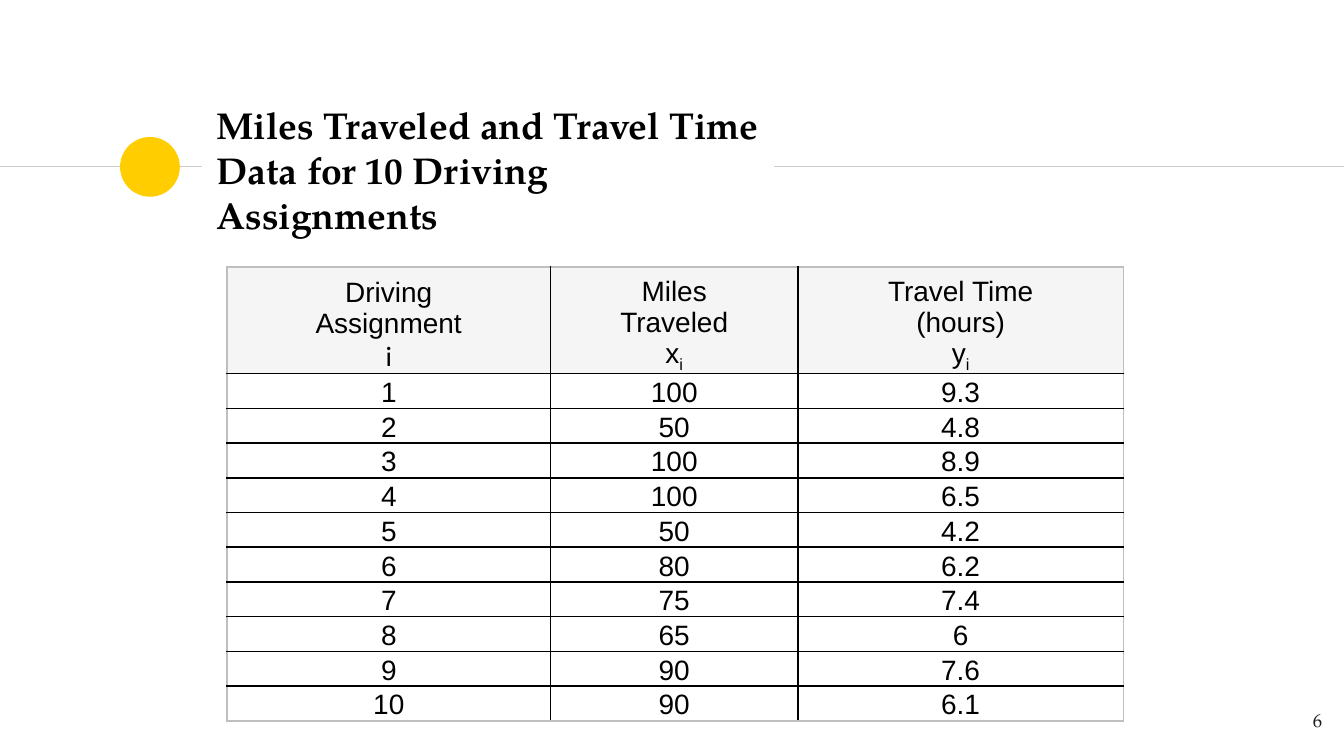
import copy

import pptx
import pptx.dml.color
import pptx.enum.shapes
import pptx.enum.text
import pptx.oxml
import pptx.oxml.ns
import pptx.util

Cm = pptx.util.Cm
Pt = pptx.util.Pt
qn = pptx.oxml.ns.qn
ALIGN = pptx.enum.text.PP_ALIGN
ANCHOR = pptx.enum.text.MSO_ANCHOR

SERIF = "TeX Gyre Pagella"
BLACK = "000000"
RULE_GREY = "CCCCCC"
EDGE_GREY = "BFBFBF"

# A line break inside a paragraph is written \v
HEADERS = [
    ["Driving\vAssignment", "i"],
    ["Miles\vTraveled\vx"],
    ["Travel Time\v(hours)\vy"],
]
MILES = [100, 50, 100, 100, 50, 80, 75, 65, 90, 90]
HOURS = [9.3, 4.8, 8.9, 6.5, 4.2, 6.2, 7.4, 6, 7.6, 6.1]


def color(value):
    return pptx.dml.color.RGBColor.from_string(value)


def style_font(font, name, size, value, bold=False):
    font.name = name
    font.size = Pt(size)
    font.bold = bold
    font.color.rgb = color(value)


def add_rule(slide, start, end, y):
    connector = slide.shapes.add_connector(
        pptx.enum.shapes.MSO_CONNECTOR.STRAIGHT, Cm(start), Cm(y), Cm(end), Cm(y))
    connector.line.color.rgb = color(RULE_GREY)
    connector.line.width = Pt(0.75)
    properties = connector._element.spPr
    properties.append(properties.makeelement(qn("a:effectLst"), {}))


def add_text(slide, box, text, size, value, bold=False,
             align=ALIGN.LEFT, anchor=ANCHOR.TOP):
    shape = slide.shapes.add_textbox(*[Cm(length) for length in box])
    frame = shape.text_frame
    frame.word_wrap = True
    frame.vertical_anchor = anchor
    frame.margin_left = frame.margin_right = Cm(0.25)
    frame.margin_top = frame.margin_bottom = Cm(0.25)
    frame.text = text
    paragraph = frame.paragraphs[0]
    paragraph.alignment = align
    style_font(paragraph.runs[0].font, SERIF, size, value, bold)


def add_title_band(slide, left, top, width, height):
    """Title between two rules, with a yellow dot on the left rule."""
    title_left, title_width, dot_size = 3.84, 10.77, 1.13
    rule_y = top + 0.56
    add_rule(slide, left, left + title_left - 0.03, rule_y)
    dot = slide.shapes.add_shape(
        pptx.enum.shapes.MSO_SHAPE.OVAL, Cm(left + 2.27), Cm(top),
        Cm(dot_size), Cm(dot_size))
    dot.shadow.inherit = False
    dot.fill.solid()
    dot.fill.fore_color.rgb = color("FFCD00")
    dot.line.fill.background()
    add_rule(slide, left + title_left + title_width + 0.02, left + width, rule_y)
    add_text(slide, (left + title_left, top, title_width, height),
             "Miles Traveled and Travel Time Data for 10 Driving Assignments",
             20, BLACK, bold=True, anchor=ANCHOR.MIDDLE)


def set_borders(cell, edges):
    """Draw the borders; edges gives a colour for left, right, top, bottom."""
    properties = cell._tc.get_or_add_tcPr()
    for position, (side, value) in enumerate(zip("LRTB", edges)):
        properties.insert(position, pptx.oxml.parse_xml(
            f'<a:ln{side} {pptx.oxml.ns.nsdecls("a")} w="12700"><a:solidFill>'
            f'<a:srgbClr val="{value}"/></a:solidFill></a:ln{side}>'))


def write_cell(cell, lines, subscript=""):
    cell.vertical_anchor = ANCHOR.BOTTOM
    cell.margin_left = cell.margin_right = Cm(0.05)
    cell.margin_top, cell.margin_bottom = Cm(0.02), 0
    frame = cell.text_frame
    for number, line in enumerate(lines):
        paragraph = frame.add_paragraph() if number else frame.paragraphs[0]
        paragraph.text = line
        paragraph.alignment = ALIGN.CENTER
        if subscript:
            paragraph.add_run().text = subscript
        for run in paragraph.runs:
            style_font(run.font, "Calibri" if number else "Arial", 15, BLACK)
        # Line breaks take the size of the text around them
        for line_break in paragraph._p.findall(qn("a:br")):
            line_break.append(copy.deepcopy(paragraph.runs[0]._r.rPr))
        if subscript:
            paragraph.runs[-1].font._element.set("baseline", "-25000")


def add_data_table(slide, left, top, width, height):
    """Header row and one row for each driving assignment."""
    row_count, column_count = len(MILES) + 1, len(HEADERS)
    header_height = 1.93
    table = slide.shapes.add_table(
        row_count, column_count, Cm(left), Cm(top), Cm(width), Cm(height)).table
    table.horz_banding = False
    for column, share in zip(table.columns, (0.361, 0.276, 0.363)):
        column.width = Cm(width * share)
    for row in table.rows:
        row.height = Cm((height - header_height) / len(MILES))
    table.rows[0].height = Cm(header_height)

    for column, lines in enumerate(HEADERS):
        write_cell(table.cell(0, column), lines, "i" if column else "")
    for row, (miles, hours) in enumerate(zip(MILES, HOURS), start=1):
        for column, value in enumerate((row, miles, hours)):
            write_cell(table.cell(row, column), [str(value)])

    # Grey outer edge, black inner lines
    for row in range(row_count):
        for column in range(column_count):
            cell = table.cell(row, column)
            cell.fill.solid()
            cell.fill.fore_color.rgb = color("FFFFFF" if row else "F5F5F5")
            outer = (column == 0, column == column_count - 1,
                     row == 0, row == row_count - 1)
            set_borders(cell, [EDGE_GREY if edge else BLACK for edge in outer])


def add_page_number(slide, left, top, width, height):
    add_text(slide, (left, top, width, height), "6", 10, "1D1D1B",
             align=ALIGN.RIGHT)


def main():
    presentation = pptx.Presentation()
    presentation.slide_width = Cm(25.4)
    presentation.slide_height = Cm(14.29)
    slide = presentation.slides.add_slide(presentation.slide_layouts[6])
    add_title_band(slide, 0, 2.59, 25.4, 1.22)
    add_page_number(slide, 23.72, 13.18, 1.52, 1.09)
    add_data_table(slide, 4.29, 5.05, 16.94, 8.48)
    presentation.save("out.pptx")


if __name__ == "__main__":
    main()
